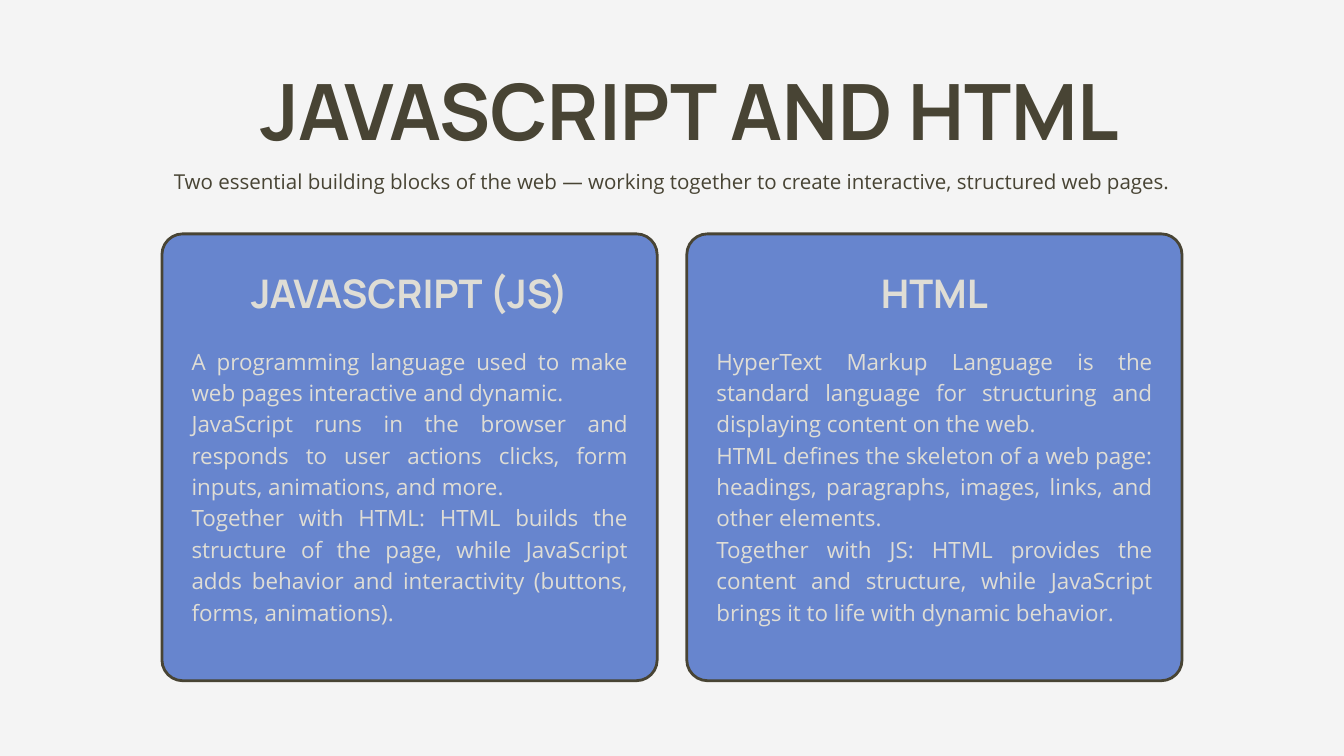
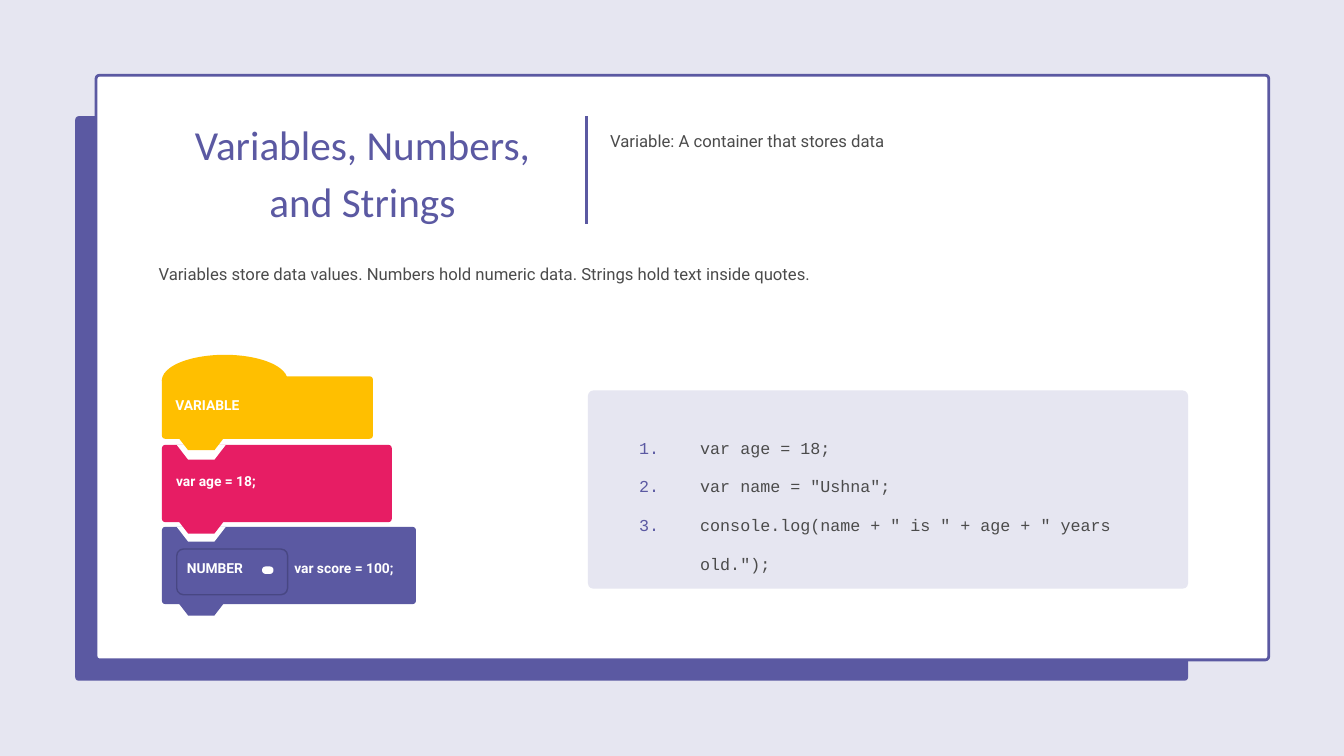
from lxml.etree import SubElement
from pptx import Presentation
from pptx.dml.color import RGBColor
from pptx.enum.shapes import MSO_CONNECTOR, MSO_SHAPE
from pptx.enum.text import PP_ALIGN
from pptx.oxml.ns import qn
from pptx.util import Inches, Pt

COLUMNS, ROWS = 20, 11.25
LEFT_EDGE = 2.41
RULE_WIDTH = 3

OLIVE, SAND, SKY = "484434", "DFDDD5", "6785CE"
INDIGO, DARK_INDIGO, LAVENDER = "5B59A2", "484783", "E6E6F1"
PINK, YELLOW, WHITE, GREY = "E71D64", "FFBF00", "FFFFFF", "4B4B4B"

presentation = Presentation()
presentation.slide_width = Inches(COLUMNS)
presentation.slide_height = Inches(ROWS)
column = presentation.slide_width / COLUMNS
row = presentation.slide_height / ROWS
color = RGBColor.from_string


def add_panel(slide, left, top, width, height, fill=None, line=None,
              line_width=RULE_WIDTH, radius=0.05, preset=MSO_SHAPE.ROUNDED_RECTANGLE):
    """Place a preset shape on the grid; radius is in grid units."""
    shape = slide.shapes.add_shape(preset, int(left * column), int(top * row),
                                   int(width * column), int(height * row))
    shape.shadow.inherit = False
    if len(shape.adjustments):
        shape.adjustments[0] = radius / min(width, height)
    if fill:
        shape.fill.solid()
        shape.fill.fore_color.rgb = color(fill)
    else:
        shape.fill.background()
    if line:
        shape.line.color.rgb = color(line)
        shape.line.width = Pt(line_width)
    else:
        shape.line.fill.background()
    return shape


def add_text(slide, left, top, width, height, text, font_name, size, ink,
             spacing, bold=False, align=PP_ALIGN.LEFT):
    """Place a text box on the grid, one paragraph per line of text."""
    box = slide.shapes.add_textbox(int(left * column), int(top * row),
                                   int(width * column), int(height * row))
    frame = box.text_frame
    frame.word_wrap = True
    frame.margin_left = frame.margin_right = frame.margin_top = frame.margin_bottom = 0
    frame.text = text
    for paragraph in frame.paragraphs:
        paragraph.alignment = align
        paragraph.line_spacing = Pt(spacing)
        for run in paragraph.runs:
            run.font.name = font_name
            run.font.size = Pt(size)
            run.font.bold = bold
            run.font.color.rgb = color(ink)


slides = []
for background in ("F4F4F4", LAVENDER):
    slide = presentation.slides.add_slide(presentation.slide_layouts[6])
    slide.background.fill.solid()
    slide.background.fill.fore_color.rgb = color(background)
    slides.append(slide)
comparison, variables = slides

# Slide 1: two cards side by side
CARD_TOP, CARD_WIDTH, CARD_HEIGHT, CARD_STEP = 3.48, 7.37, 6.65, 7.81
cards = [
    ("JAVASCRIPT (JS)",
     "A programming language used to make web pages interactive and dynamic.\n"
     "JavaScript runs in the browser and responds to user actions clicks, form inputs, "
     "animations, and more.\n"
     "Together with HTML: HTML builds the structure of the page, while JavaScript adds "
     "behavior and interactivity (buttons, forms, animations)."),
    ("HTML",
     "HyperText Markup Language is the standard language for structuring and displaying "
     "content on the web.\n"
     "HTML defines the skeleton of a web page: headings, paragraphs, images, links, and "
     "other elements.\n"
     "Together with JS: HTML provides the content and structure, while JavaScript brings "
     "it to life with dynamic behavior."),
]
for index, (heading, body) in enumerate(cards):
    left = LEFT_EDGE + index * CARD_STEP
    add_panel(comparison, left, CARD_TOP, CARD_WIDTH, CARD_HEIGHT, SKY, OLIVE, radius=0.31)
    add_text(comparison, left + 0.89, CARD_TOP + 0.76, CARD_WIDTH - 1.78, 0.57, heading,
             "Manrope", 42.2, SAND, 34.2, bold=True, align=PP_ALIGN.CENTER)
    add_text(comparison, left + 0.44, CARD_TOP + 1.63, CARD_WIDTH - 0.88, 4.1, body,
             "Open Sans", 24, SAND, 33.6, align=PP_ALIGN.JUSTIFY)

add_text(comparison, 2.61, 1.39, 15.32, 1.12, "JAVASCRIPT AND HTML",
         "Manrope", 83.2, OLIVE, 67.3, bold=True, align=PP_ALIGN.CENTER)
add_text(comparison, 2.31, 2.46, 15.37, 0.41,
         "Two essential building blocks of the web — working together to create "
         "interactive, structured web pages.",
         "Open Sans", 22, OLIVE, 30.8, align=PP_ALIGN.CENTER)

# Slide 2: framed page, code blocks and listing
add_panel(variables, 1.12, 1.73, 16.56, 8.4, INDIGO)
add_panel(variables, 1.43, 1.12, 17.45, 8.7, WHITE, INDIGO)

TAB_LEFT, TAB_WIDTH, TAB_HEIGHT, TAB_SLANT, TAB_OVERLAP = 2.63, 0.73, 0.22, 0.17, 0.05
blocks = [  # top, width, height, fill, has a notch
    (7.84, 3.78, 1.15, INDIGO, True),
    (6.62, 3.42, 1.15, PINK, True),
    (5.6, 3.14, 0.93, YELLOW, False),
]
for top, width, height, fill, has_notch in blocks:
    add_panel(variables, LEFT_EDGE, top, width, height, fill)
    trapezoids = [(top + height - TAB_OVERLAP, fill)]
    if has_notch:
        trapezoids.append((top, WHITE))
    for trapezoid_top, trapezoid_fill in trapezoids:
        trapezoid = add_panel(variables, TAB_LEFT, trapezoid_top, TAB_WIDTH, TAB_HEIGHT,
                              trapezoid_fill, radius=TAB_SLANT, preset=MSO_SHAPE.TRAPEZOID)
        trapezoid.rotation = 180
add_panel(variables, LEFT_EDGE, 5.28, 1.87, 0.76, YELLOW, preset=MSO_SHAPE.OVAL)

add_panel(variables, 8.75, 5.81, 8.93, 2.95, LAVENDER, radius=0.08)

divider = variables.shapes.add_connector(
    MSO_CONNECTOR.STRAIGHT, int(8.73 * column), int(1.73 * row),
    int(8.73 * column), int(3.33 * row))
divider.line.color.rgb = color(INDIGO)
divider.line.width = Pt(RULE_WIDTH)
SubElement(divider._element.spPr, qn("a:effectLst"))

add_panel(variables, TAB_LEFT, 8.17, 1.65, 0.68, line=DARK_INDIGO, line_width=1.5, radius=0.1)
add_panel(variables, 3.9, 8.43, 0.17, 0.11, WHITE)

block_labels = [
    (2.61, 5.86, 2.77, "VARIABLE"),
    (2.62, 7, 3.01, "var age = 18;"),
    (2.78, 8.29, 0.95, "NUMBER"),
    (4.38, 8.29, 1.87, "var score = 100;"),
]
for left, top, width, label in block_labels:
    add_text(variables, left, top, width, 0.27, label, "Roboto", 14.8, WHITE, 20.7, bold=True)

code_lines = [
    'var age = 18;',
    'var name = "Ushna";',
    'console.log(name + " is " + age + " years old.");',
]
line_numbers = [f"{number}." for number in range(1, len(code_lines) + 1)]
add_text(variables, 9.23, 6.23, 0.86, 1.69, "\n".join(line_numbers),
         "Courier New", 17.9, INDIGO, 41.6, align=PP_ALIGN.CENTER)
add_text(variables, 10.42, 6.23, 6.78, 1.69, "\n".join(code_lines),
         "Courier New", 17.9, GREY, 41.6)

add_text(variables, LEFT_EDGE, 1.65, 5.97, 1.67, "Variables, Numbers, and Strings",
         "Calibri", 44.2, INDIGO, 61.8, align=PP_ALIGN.CENTER)
notes = [
    (9.08, 1.9, 8.51, "Variable: A container that stores data"),
    (2.36, 3.88, 15.27, "Variables store data values. Numbers hold numeric data. "
                        "Strings hold text inside quotes."),
]
for left, top, width, note in notes:
    add_text(variables, left, top, width, 0.34, note, "Roboto", 17.9, GREY, 25.1)

presentation.save("out.pptx")
